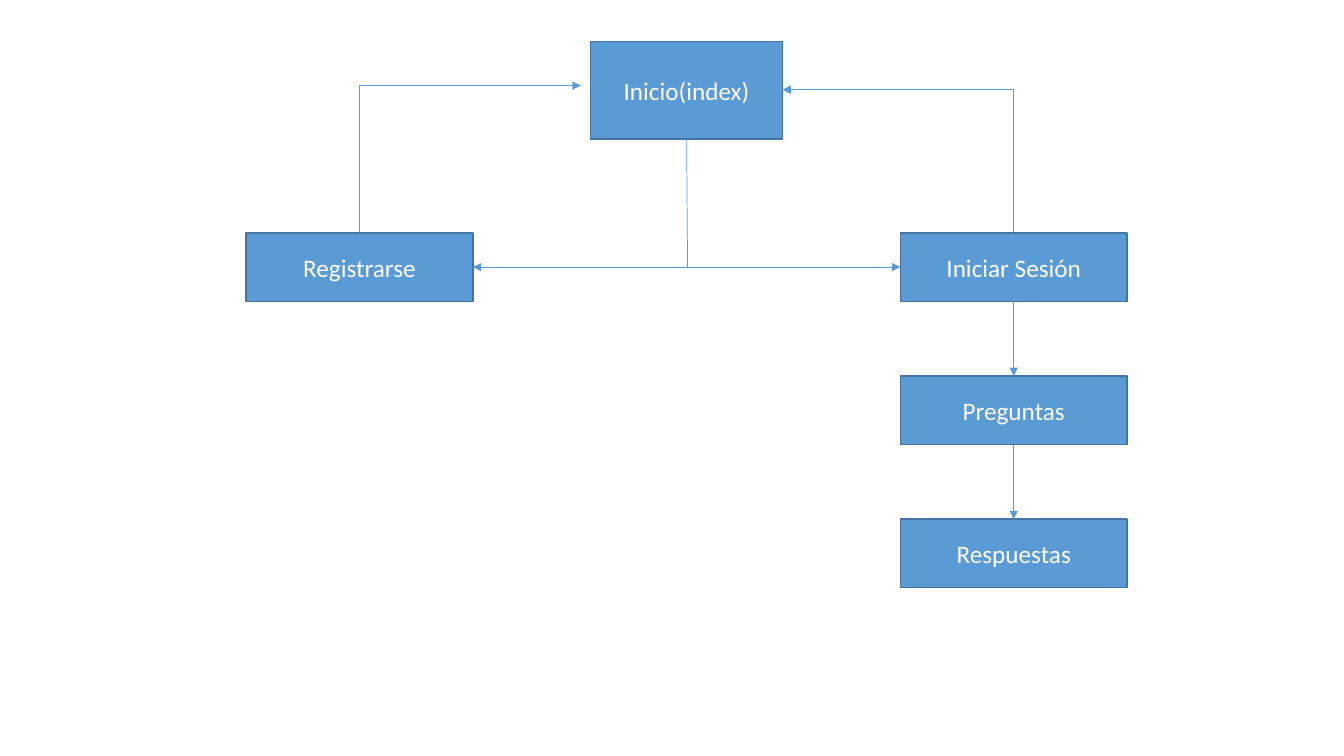
from pptx import Presentation
from pptx.dml.color import RGBColor
from pptx.enum import shapes, text
from pptx.oxml.ns import qn
from pptx.util import Inches, Pt
from lxml import etree

# Content: name, left, top, width, height
COLORS = {"fill": "5B9BD5", "edge": "43739E", "text": "FFFFFF"}
WIDE, TALL = 2.25, 0.68
LEFT, RIGHT, TOP, STEP = 2.44, 8.93, 2.31, 1.42
BOXES = [
    ("Inicio(index)", 5.86, 0.41, 1.9, 0.97),
    ("Registrarse", LEFT, TOP, WIDE, TALL),
]
STEPS = ["Iniciar Sesión", "Preguntas", "Respuestas"]
BOXES += [(name, RIGHT, TOP + i * STEP, WIDE, TALL)
          for i, name in enumerate(STEPS)]

# Anchors for the lines
FORK = (6.81, TOP + TALL / 2)
MID = RIGHT + WIDE / 2
LINES = [
    ((6.81, 1.38), (6.82, FORK[1]), False),
    (FORK, (RIGHT, FORK[1]), True),
    (FORK, (LEFT + WIDE, FORK[1]), True),
]
LINES += [((MID, TOP + i * STEP + TALL), (MID, TOP + (i + 1) * STEP), True)
          for i in range(len(STEPS) - 1)]
BENDS = [
    ((LEFT + WIDE / 2, TOP), (5.76, 0.85)),
    ((MID, TOP), (7.76, 0.89)),
]

deck = Presentation()
deck.slide_width, deck.slide_height = Inches(13.33), Inches(7.5)
slide = deck.slides.add_slide(deck.slide_layouts[6])


def color(name):
    return RGBColor.from_string(COLORS[name])


def write(shape, words, size=18, font="Calibri", tint="text"):
    frame = shape.text_frame
    frame.word_wrap = True
    frame.vertical_anchor = text.MSO_ANCHOR.MIDDLE
    para = frame.paragraphs[0]
    para.alignment = text.PP_ALIGN.CENTER
    run = para.add_run()
    run.text = words
    run.font.size, run.font.name = Pt(size), font
    run.font.color.rgb = color(tint)


def box(name, *place):
    shape = slide.shapes.add_shape(shapes.MSO_SHAPE.RECTANGLE,
                                   *map(Inches, place))
    shape.shadow.inherit = False
    shape.fill.solid()
    shape.fill.fore_color.rgb = color("fill")
    shape.line.color.rgb = color("edge")
    shape.line.width = Pt(1)
    write(shape, name)


def link(start, end, arrow=True, kind=shapes.MSO_CONNECTOR.STRAIGHT):
    line = slide.shapes.add_connector(kind, *map(Inches, start + end))
    line.line.color.rgb = color("fill")
    line.line.width = Pt(0.5)
    props = line._element.spPr
    if arrow:
        etree.SubElement(props.find(qn("a:ln")), qn("a:tailEnd"),
                         type="triangle")
    etree.SubElement(props, qn("a:effectLst"))
    return line


def bend(start, end):
    # A quarter turn makes the line leave upwards, then run sideways
    (x1, y1), (x2, y2) = start, end
    cx, cy = (x1 + x2) / 2, (y1 + y2) / 2
    dx, dy = abs(y2 - y1) / 2, abs(x2 - x1) / 2
    turn = 90 if x2 > x1 else 270
    side = dx if turn == 90 else -dx
    line = link((cx + side, cy + dy), (cx - side, cy - dy),
                kind=shapes.MSO_CONNECTOR.ELBOW)
    props = line._element.spPr
    props.find(qn("a:xfrm")).set("rot", str(turn * 60000))
    props.find(qn("a:prstGeom")).set("prst", "bentConnector2")


# Boxes, then the lines between them
for item in BOXES:
    box(*item)
for item in LINES:
    link(*item)
for item in BENDS:
    bend(*item)

deck.save("out.pptx")
